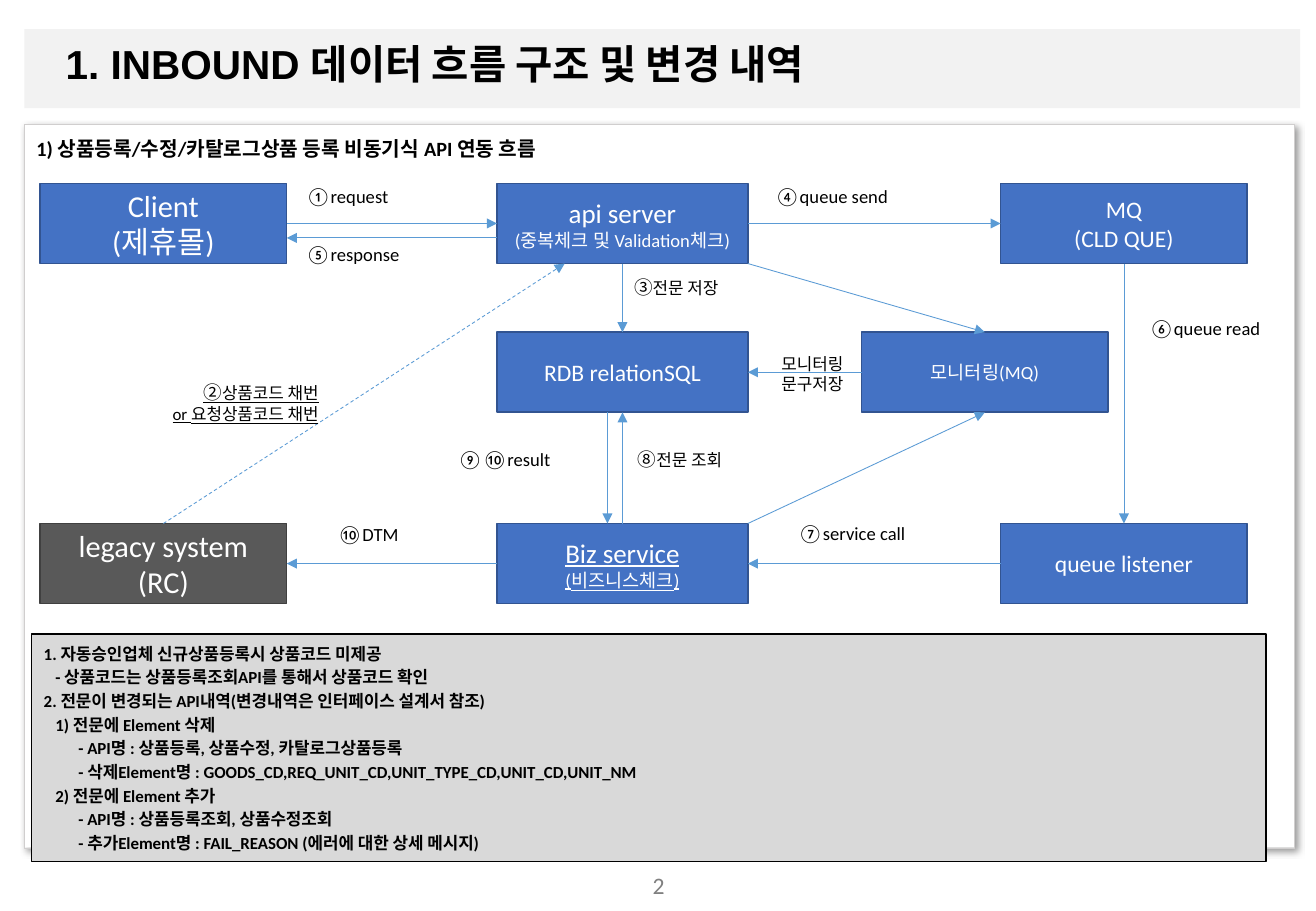
from dataclasses import dataclass

from lxml.etree import SubElement
from pptx import Presentation
from pptx.dml.color import RGBColor
from pptx.enum.dml import MSO_LINE
from pptx.enum.shapes import MSO_CONNECTOR, MSO_SHAPE
from pptx.enum.text import MSO_ANCHOR as Anchor, MSO_AUTO_SIZE, PP_ALIGN as Align
from pptx.oxml.ns import qn
from pptx.util import Inches, Pt

GRID = 0.1  # inches per column and per row
COLUMNS, ROWS = 108.3, 75

BLACK = RGBColor(0x00, 0x00, 0x00)
WHITE = RGBColor(0xFF, 0xFF, 0xFF)
GRAY = RGBColor(0x80, 0x80, 0x80)
BANNER_FILL = RGBColor(0xF2, 0xF2, 0xF2)
PANEL_LINE = RGBColor(0xD0, 0xCE, 0xCE)
NOTES_FILL = RGBColor(0xD9, 0xD9, 0xD9)
BLUE = RGBColor(0x44, 0x72, 0xC4)
BLUE_LINE = RGBColor(0x32, 0x54, 0x91)
DARK = RGBColor(0x59, 0x59, 0x59)
DARK_LINE = RGBColor(0x40, 0x40, 0x40)
ARROW = RGBColor(0x5B, 0x9B, 0xD5)

LATIN, HANGUL = "Calibri", "Noto Sans CJK KR"
LEFT_COL, CORE_COL, MONITOR_COL, QUEUE_COL = 3.3, 40.9, 70.9, 82.35
TOP_ROW, MIDDLE_ROW, BOTTOM_ROW = 15.1, 27.35, 43.1
NODE_ROWS, NODE_COLUMNS, CORE_COLUMNS = 6.6, 20.3, 20.65
# Share of a node's width and height -> connection site
SITES = {(0.5, 0): 0, (0, 0.5): 1, (0.5, 1): 2, (1, 0.5): 3}


@dataclass(frozen=True)
class Run:
    text: str
    size: float
    underline: bool = False
    bold: bool = False
    font: str = LATIN


Line = tuple[Run, ...]


@dataclass(frozen=True)
class Box:
    column: float
    row: float
    columns: float
    rows: float


@dataclass(frozen=True)
class Node:
    column: float
    row: float
    lines: tuple[Line, ...]
    columns: float = NODE_COLUMNS
    fill: RGBColor = BLUE
    line: RGBColor = BLUE_LINE

    @property
    def box(self) -> Box:
        return Box(self.column, self.row, self.columns, NODE_ROWS)


@dataclass(frozen=True)
class Label:
    box: Box
    lines: tuple[Line, ...]
    align: Align = Align.LEFT


@dataclass(frozen=True)
class Flow:
    source: str
    leave: tuple[float, float]
    target: str
    arrive: tuple[float, float]
    dashed: bool = False


NODES = {
    "client": Node(LEFT_COL, TOP_ROW, ((Run("Client", 18),), (Run("(제휴몰)", 18),))),
    "api": Node(CORE_COL, TOP_ROW, ((Run("api server", 16),),
                (Run("(중복체크 및 Validation체크)", 11),)), CORE_COLUMNS),
    "mq": Node(QUEUE_COL, TOP_ROW, ((Run("MQ", 14),), (Run("(CLD QUE)", 14),))),
    "rds": Node(CORE_COL, MIDDLE_ROW, ((Run("RDB relationSQL", 14),),), CORE_COLUMNS),
    "monitor": Node(MONITOR_COL, MIDDLE_ROW, ((Run("모니터링(MQ)", 11),),)),
    "legacy": Node(LEFT_COL, BOTTOM_ROW, ((Run("legacy system", 18),), (Run("(RC)", 18),)),
                   fill=DARK, line=DARK_LINE),
    "biz": Node(CORE_COL, BOTTOM_ROW, ((Run("Biz service", 16, True),),
                (Run("(비즈니스체크)", 11, True),)), CORE_COLUMNS),
    "listener": Node(QUEUE_COL, BOTTOM_ROW, ((Run("queue listener", 14),),)),
}
FLOWS = (
    Flow("client", (1, 0.5), "api", (0, 0.5)),
    Flow("api", (0, 0.68), "client", (1, 0.68)),
    Flow("api", (1, 0.5), "mq", (0, 0.5)),
    Flow("mq", (0.5, 1), "listener", (0.5, 0)),
    Flow("listener", (0, 0.5), "biz", (1, 0.5)),
    Flow("biz", (0, 0.5), "legacy", (1, 0.5)),
    Flow("api", (0.5, 1), "rds", (0.5, 0)),
    Flow("biz", (0.5, 0), "rds", (0.5, 1)),
    Flow("rds", (0.44, 1), "biz", (0.44, 0)),
    Flow("legacy", (0.5, 0), "api", (0.27, 1), dashed=True),
    Flow("api", (1, 1), "monitor", (0.5, 0)),
    Flow("biz", (1, 0), "monitor", (0.5, 1)),
    Flow("monitor", (0, 0.5), "rds", (1, 0.5)),
)
LABELS = (
    Label(Box(2, 10.7, 54.2, 3),
          ((Run("1) 상품등록/수정/카탈로그상품 등록 비동기식 API 연동 흐름", 12, bold=True),),)),
    Label(Box(24.2, 14.7, 13.8, 4.9), ((Run("①request", 11),),)),
    Label(Box(62.8, 14.7, 18, 4.9), ((Run("④queue send", 11),),)),
    Label(Box(24.2, 19.5, 15.3, 4.9), ((Run("⑤response", 11),),)),
    Label(Box(26.8, 42.6, 10.9, 4.9), ((Run("⑩DTM", 11),),)),
    Label(Box(93.6, 25.6, 11.7, 2.9), ((Run("⑥queue read", 11),),)),
    Label(Box(64.7, 42.5, 17.2, 4.9), ((Run("⑦service call", 11),),)),
    Label(Box(51.2, 22.2, 15.7, 4.9), ((Run("③", 11), Run("전문 저장", 10)),)),
    Label(Box(51.5, 36.4, 15.7, 4.9), ((Run("⑧", 11), Run("전문 조회", 10)),)),
    Label(Box(36.7, 36.4, 14.4, 4.9), ((Run("⑨⑩result", 11),),)),
    Label(Box(8.4, 30.9, 18.8, 4.5),
          ((Run("②", 11, True), Run("상품코드 채번", 10, True)),
           (Run("or 요청상품코드 채번", 10, True),)), Align.RIGHT),
    Label(Box(62.8, 28.6, 8.1, 4.5),
          ((Run("모니터링", 10),), (Run("문구저장", 10),)), Align.CENTER),
)
NOTE_INDENTS = (0, 0.95, 2.85)  # columns
NOTES = (
    (0, "1. 자동승인업체 신규상품등록시 상품코드 미제공"),
    (1, "- 상품코드는 상품등록조회API를 통해서 상품코드 확인"),
    (0, "2. 전문이 변경되는 API내역(변경내역은 인터페이스 설계서 참조)"),
    (1, "1) 전문에 Element 삭제"),
    (2, "- API명 : 상품등록, 상품수정, 카탈로그상품등록"),
    (2, "- 삭제Element명 : GOODS_CD,REQ_UNIT_CD,UNIT_TYPE_CD,UNIT_CD,UNIT_NM"),
    (1, "2) 전문에 Element 추가"),
    (2, "- API명 : 상품등록조회, 상품수정조회"),
    (2, "- 추가Element명 : FAIL_REASON (에러에 대한 상세 메시지)"),
)


def cells(count: float) -> int:
    """Length of a number of grid columns or rows."""
    return Inches(count * GRID)


def frame(box: Box) -> tuple[int, ...]:
    return tuple(cells(n) for n in (box.column, box.row, box.columns, box.rows))


def apply(target, formats: dict) -> None:
    for name, value in formats.items():
        setattr(target, name, value)


def write(text_frame, lines: tuple[Line, ...], color: RGBColor, anchor=Anchor.TOP, **paragraph_format) -> None:
    apply(text_frame, {"word_wrap": True, "auto_size": MSO_AUTO_SIZE.NONE, "vertical_anchor": anchor})
    for index, line in enumerate(lines):
        paragraph = text_frame.add_paragraph() if index else text_frame.paragraphs[0]
        apply(paragraph, paragraph_format)
        for part in line:
            run = paragraph.add_run()
            run.text = part.text
            apply(run.font, {"name": part.font, "size": Pt(part.size), "bold": part.bold,
                             "underline": part.underline})
            run.font.color.rgb = color
            SubElement(run.font._element, qn("a:ea"), typeface=HANGUL)


def paint(shape, fill: RGBColor, line: RGBColor | None, width: float = 1) -> None:
    shape.fill.solid()
    shape.fill.fore_color.rgb = fill
    if line is None:
        shape.line.fill.background()
    else:
        shape.line.color.rgb = line
        shape.line.width = Pt(width)


def add_rectangle(slide, box: Box, fill: RGBColor, line: RGBColor | None = None, width: float = 1):
    shape = slide.shapes.add_shape(MSO_SHAPE.RECTANGLE, *frame(box))
    shape.shadow.inherit = False
    paint(shape, fill, line, width)
    return shape


def cast_shadow(shape) -> None:
    effects = shape._element.spPr.find(qn("a:effectLst"))
    shadow = SubElement(effects, qn("a:outerShdw"), blurRad=str(Pt(4)), dist=str(Pt(3)),
                        dir="2700000", algn="tl", rotWithShape="0")
    color = SubElement(shadow, qn("a:srgbClr"), val="000000")
    SubElement(color, qn("a:alpha"), val="40000")


def place(slide, placeholder, box: Box) -> None:
    """Move a placeholder to its grid cells, in front of what is drawn so far."""
    apply(placeholder, dict(zip(("left", "top", "width", "height"), frame(box))))
    slide.shapes._spTree.append(placeholder._element)


def add_label(slide, label: Label, color: RGBColor = BLACK) -> None:
    text_frame = slide.shapes.add_textbox(*frame(label.box)).text_frame
    write(text_frame, label.lines, color, alignment=label.align)


def node_point(node: Node, share: tuple[float, float]) -> tuple[int, int]:
    return cells(node.column + share[0] * node.columns), cells(node.row + share[1] * NODE_ROWS)


def add_flow(slide, flow: Flow, shapes: dict) -> None:
    start, end = node_point(NODES[flow.source], flow.leave), node_point(NODES[flow.target], flow.arrive)
    arrow = slide.shapes.add_connector(MSO_CONNECTOR.STRAIGHT, *start, *end)
    if flow.leave in SITES:
        arrow.begin_connect(shapes[flow.source], SITES[flow.leave])
    if flow.arrive in SITES:
        arrow.end_connect(shapes[flow.target], SITES[flow.arrive])
    arrow.line.color.rgb = ARROW
    arrow.line.width = Pt(0.5)
    if flow.dashed:
        arrow.line.dash_style = MSO_LINE.DASH
    SubElement(arrow.line._get_or_add_ln(), qn("a:tailEnd"), type="triangle")
    SubElement(arrow._element.spPr, qn("a:effectLst"))


def add_notes_list(slide, body) -> None:
    place(slide, body, Box(2.6, 52.2, 101.6, 18.7))
    paint(body, NOTES_FILL, BLACK, 0.75)
    lines = tuple((Run(text, 10, bold=True),) for _, text in NOTES)
    write(body.text_frame, lines, BLACK, line_spacing=Pt(14), space_before=Pt(0))
    for (level, _), paragraph in zip(NOTES, body.text_frame.paragraphs):
        properties = paragraph._p.get_or_add_pPr()
        properties.set("marL", str(cells(NOTE_INDENTS[level])))
        properties.set("indent", "0")
        SubElement(properties, qn("a:buNone"))


def main() -> None:
    prs = Presentation()
    apply(prs, {"slide_width": cells(COLUMNS), "slide_height": cells(ROWS)})
    slide = prs.slides.add_slide(prs.slide_layouts[1])
    title, body = slide.placeholders

    add_rectangle(slide, Box(2, 2.4, 105, 6.5), BANNER_FILL)
    cast_shadow(add_rectangle(slide, Box(2, 10.2, 104.5, 59.6), WHITE, PANEL_LINE, 0.25))
    place(slide, title, Box(4.4, 3.2, 85.7, 5))
    heading = Run("1. INBOUND 데이터 흐름 구조 및 변경 내역", 24, bold=True, font="Arial")
    write(title.text_frame, ((heading,),), BLACK, alignment=Align.LEFT, line_spacing=0.9)

    shapes = {}
    for name, node in NODES.items():
        shapes[name] = add_rectangle(slide, node.box, node.fill, node.line)
        write(shapes[name].text_frame, node.lines, WHITE, Anchor.MIDDLE, alignment=Align.CENTER)
    for flow in FLOWS:
        add_flow(slide, flow, shapes)
    for label in LABELS:
        add_label(slide, label)
    add_notes_list(slide, body)
    add_label(slide, Label(Box(42, 71.2, 24.4, 4), ((Run("2", 14),),), Align.CENTER), GRAY)
    prs.save("out.pptx")


if __name__ == "__main__":
    main()
